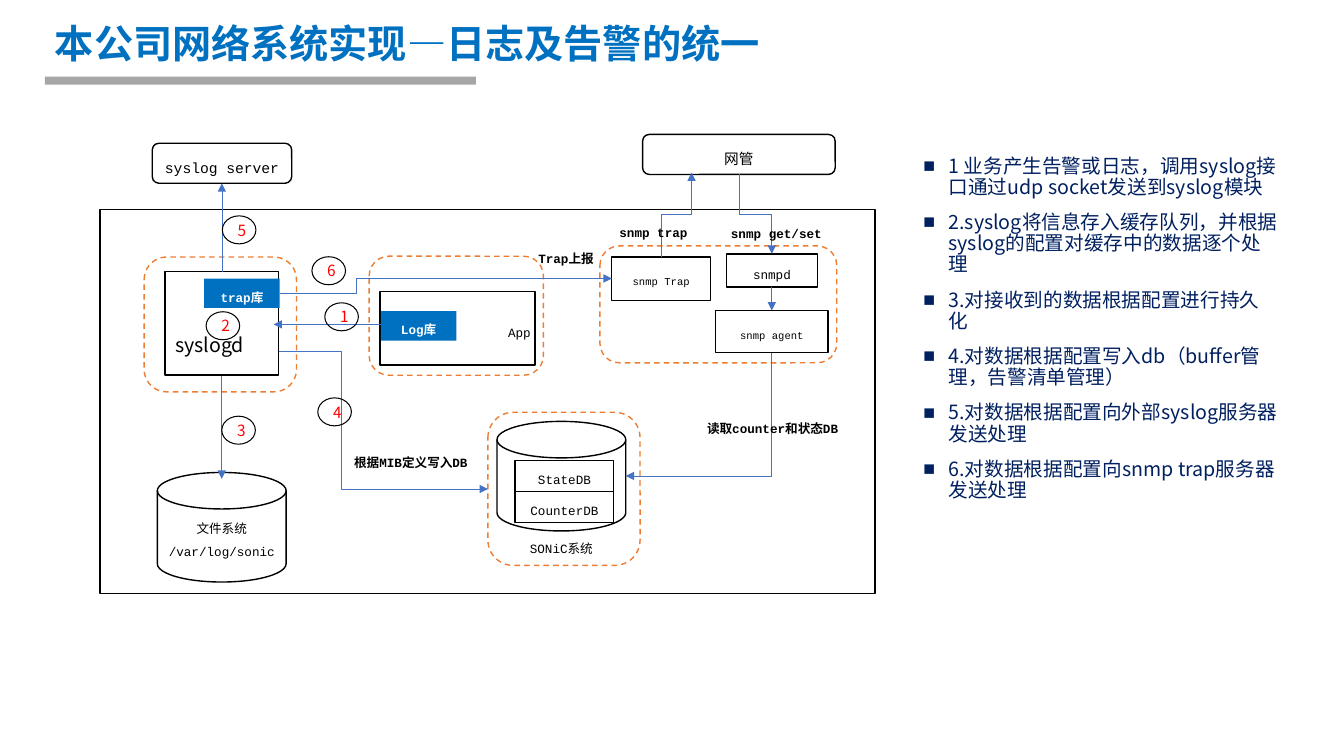
from dataclasses import dataclass
from typing import Optional

from lxml import etree
from pptx import Presentation, util as u
from pptx.dml import color
from pptx.enum import dml, shapes, text
from pptx.oxml import ns

BLACK = color.RGBColor(0x00, 0x00, 0x00)
WHITE = color.RGBColor(0xFF, 0xFF, 0xFF)
GREY = color.RGBColor(0xA6, 0xA6, 0xA6)
BLUE = color.RGBColor(0x00, 0x70, 0xC0)
WIRE_BLUE = color.RGBColor(0x44, 0x72, 0xC4)
NAVY = color.RGBColor(0x00, 0x20, 0x60)
ORANGE = color.RGBColor(0xED, 0x7D, 0x31)
RED = color.RGBColor(0xFF, 0x00, 0x00)
MONO, SANS = "Courier New", "Noto Sans CJK SC"

RECT = shapes.MSO_SHAPE.RECTANGLE
ROUND = shapes.MSO_SHAPE.ROUNDED_RECTANGLE
DISK = shapes.MSO_SHAPE.FLOWCHART_MAGNETIC_DISK
OVAL = shapes.MSO_SHAPE.OVAL
LEFT, CENTER, RIGHT = text.PP_ALIGN.LEFT, text.PP_ALIGN.CENTER, text.PP_ALIGN.RIGHT


@dataclass
class Box:
    left: float
    top: float
    width: float
    height: float
    words: str = ""
    size: float = 9
    kind: shapes.MSO_SHAPE = RECT
    fill: Optional[color.RGBColor] = None
    line: Optional[color.RGBColor] = BLACK
    weight: float = 1
    ink: color.RGBColor = BLACK
    bold: bool = False
    align: text.PP_ALIGN = CENTER


@dataclass
class Wire:
    """An arrow; elbow is the preset of a bent one, bend the place of its turn."""
    start: tuple[float, float]
    end: tuple[float, float]
    elbow: str = ""
    vertical: bool = False
    bend: float = 0.5


@dataclass
class Label:
    left: float
    top: float
    width: float
    height: float
    words: str
    bold: bool = True


def zone(left: float, top: float, width: float, height: float, fill=WHITE) -> Box:
    return Box(left, top, width, height, kind=ROUND, fill=fill, line=ORANGE)


def library(left: float, top: float, words: str) -> Box:
    return Box(left, top, 54, 21, words, fill=BLUE, line=None, ink=WHITE, bold=True)


BOXES = [
    Box(32, 54.7, 308, 5.8, fill=GREY, line=None),
    Box(437, 183.5, 70.5, 31, "snmp Trap", 7.5),
    zone(348.5, 294.5, 108.7, 109.4),
    zone(428.5, 175.7, 169.2, 83.5, fill=None),
    Box(519, 181.3, 64.8, 23.6, "snmpd"),
    Box(511, 221.8, 80.6, 30.2, "snmp agent", 7.5),
    zone(263.7, 183, 124.5, 85),
    zone(103, 183.6, 108.8, 96.3),
    Box(271.4, 208.2, 110.7, 52.4, "App", align=RIGHT),
    Box(118, 194, 81, 74),
    Box(108.8, 102.3, 99.6, 28.6, "syslog server", 10.5, ROUND),
    Box(71.4, 149.7, 553.6, 274.3),
    Box(355, 301, 92, 78.3, kind=DISK),
    Box(368, 351, 70.4, 22.2, "CounterDB"),
    Box(368, 328.8, 70.4, 22.2, "StateDB"),
    library(272, 222.3, "Log库"),
    Box(112.4, 337.5, 92, 78.3, "文件系统\n/var/log/sonic", kind=DISK),
    Box(459, 96, 137.6, 28.6, "网管", 10.5, ROUND),
    library(145.8, 199, "trap库"),
]
WIRES = [
    Wire((272, 231.7), (195.5, 231.7)),
    Wire((158.4, 268.5), (158.4, 342)),
    Wire((199, 251), (348.5, 349.3), "bentConnector3", bend=0.3),
    Wire((200, 209.5), (437, 199), "bentConnector3", bend=0.23),
    Wire((551.3, 252), (447, 340), "bentConnector2", True),
    Wire((551.3, 204.8), (551.3, 221.8)),
    Wire((528, 124.6), (551.3, 181.3), "bentConnector3", True),
    Wire((472.4, 183.5), (494, 123.3), "bentConnector3", True),
    Wire((158.5, 194), (158.5, 131)),
]
LABELS = [
    Label(354, 374, 94, 29.5, "SONiC系统", bold=False),
    Label(498.2, 280, 107.3, 46, "读取counter和状态DB"),
    Label(239.8, 304.6, 107.3, 46, "根据MIB定义写入DB"),
    Label(369, 159, 70.6, 46, "Trap上报"),
    Label(511, 148.5, 87, 31, "snmp get/set"),
    Label(425, 151.2, 83.5, 24.5, "snmp trap"),
]
BADGES = [(232, 216.3), (147.2, 222.7), (158.4, 297.3), (227, 284.2), (158.8, 154.2), (222.8, 183.4)]
TITLE = "本公司网络系统实现—日志及告警的统一"
STEPS = [
    "1 业务产生告警或日志，调用syslog接口通过udp socket发送到syslog模块",
    "2.syslog将信息存入缓存队列，并根据syslog的配置对缓存中的数据逐个处理",
    "3.对接收到的数据根据配置进行持久化",
    "4.对数据根据配置写入db（buffer管理，告警清单管理）",
    "5.对数据根据配置向外部syslog服务器发送处理",
    "6.对数据根据配置向snmp trap服务器发送处理",
]


def write(frame, words: str, *, size: float, font=MONO, ink=BLACK, bold=False, align=CENTER,
          spacing=1.5, before=0, bullet="", insets=(3, 0, 3, 0),
          anchor=text.MSO_ANCHOR.MIDDLE, wrap=True) -> None:
    """Fill a text frame, one paragraph for each line of words."""
    frame.word_wrap = wrap
    frame.auto_size = text.MSO_AUTO_SIZE.NONE
    frame.vertical_anchor = anchor
    (frame.margin_left, frame.margin_top,
     frame.margin_right, frame.margin_bottom) = map(u.Pt, insets)
    for index, line in enumerate(words.split("\n")):
        para = frame.add_paragraph() if index else frame.paragraphs[0]
        if bullet:
            props = para._p.get_or_add_pPr()
            props.set("marL", str(u.Pt(18)))
            props.set("indent", str(-u.Pt(18)))
            etree.SubElement(props, ns.qn("a:buChar")).set("char", bullet)
        para.alignment = align
        para.line_spacing = spacing
        para.space_before = u.Pt(before if index else 0)
        span = para.add_run()
        span.text = line
        span.font.size, span.font.name, span.font.bold = u.Pt(size), font, bold
        span.font.color.rgb = ink
        etree.SubElement(span._r.get_or_add_rPr(), ns.qn("a:ea")).set("typeface", SANS)


def draw_box(page, box: Box):
    shape = page.shapes.add_shape(box.kind, *map(u.Pt, (box.left, box.top, box.width, box.height)))
    shape.shadow.inherit = False
    if box.fill is None:
        shape.fill.background()
    else:
        shape.fill.solid()
        shape.fill.fore_color.rgb = box.fill
    if box.line is None:
        shape.line.fill.background()
    else:
        shape.line.color.rgb = box.line
        shape.line.width = u.Pt(box.weight)
        if box.line == ORANGE:
            shape.line.dash_style = dml.MSO_LINE.DASH
    if box.words:
        write(shape.text_frame, box.words, size=box.size, ink=box.ink, bold=box.bold, align=box.align)
    return shape


def draw_wire(page, wire: Wire) -> None:
    """Draw an arrow; one that leaves vertically is laid flat and turned by 90 degrees."""
    (x1, y1), (x2, y2) = wire.start, wire.end
    if wire.vertical:
        mid_x, mid_y, dx, dy = (x1 + x2) / 2, (y1 + y2) / 2, x2 - x1, y2 - y1
        x1, y1, x2, y2 = mid_x - dy / 2, mid_y + dx / 2, mid_x + dy / 2, mid_y - dx / 2
    kind = shapes.MSO_CONNECTOR.ELBOW if wire.elbow else shapes.MSO_CONNECTOR.STRAIGHT
    link = page.shapes.add_connector(kind, *map(u.Pt, (x1, y1, x2, y2)))
    link.line.color.rgb = WIRE_BLUE
    link.line.width = u.Pt(0.5)
    props = link._element.spPr
    etree.SubElement(props.find(ns.qn("a:ln")), ns.qn("a:tailEnd")).set("type", "triangle")
    etree.SubElement(props, ns.qn("a:effectLst"))
    if wire.vertical:
        props.find(ns.qn("a:xfrm")).set("rot", "5400000")
    if wire.elbow:
        outline = props.find(ns.qn("a:prstGeom"))
        outline.set("prst", wire.elbow)
        if wire.bend != 0.5:
            guide = etree.SubElement(outline.find(ns.qn("a:avLst")), ns.qn("a:gd"))
            guide.set("name", "adj1")
            guide.set("fmla", f"val {round(wire.bend * 100000)}")


def place(shape, left: float, top: float, width: float, height: float):
    shape.left, shape.top, shape.width, shape.height = map(u.Pt, (left, top, width, height))
    return shape.text_frame


def main() -> None:
    deck = Presentation()
    deck.slide_width, deck.slide_height = u.Pt(960), u.Pt(540)
    page = deck.slides.add_slide(deck.slide_layouts[1])
    wide = (7.2, 3.6, 7.2, 3.6)
    write(place(page.shapes.title, 32, 11, 758, 43), TITLE, size=28, font=SANS, ink=BLUE,
          bold=True, align=LEFT, spacing=0.9, insets=wide)
    write(place(page.placeholders[1], 652.3, 108, 268.6, 307.4), "\n".join(STEPS), size=14,
          font=SANS, ink=NAVY, align=LEFT, spacing=0.9, before=10, bullet="■",
          insets=wide, anchor=text.MSO_ANCHOR.TOP)
    for box in BOXES:
        draw_box(page, box)
    for wire in WIRES:
        draw_wire(page, wire)
    for label in LABELS:
        area = page.shapes.add_textbox(*map(u.Pt, (label.left, label.top, label.width, label.height)))
        write(area.text_frame, label.words, size=9, bold=label.bold)
    daemon = page.shapes.add_textbox(*map(u.Pt, (118, 234, 81, 34.6)))
    write(daemon.text_frame, "syslogd", size=14, font=SANS, align=LEFT, spacing=1,
          insets=wide, anchor=text.MSO_ANCHOR.TOP)
    for number, (left, top) in enumerate(BADGES, 1):
        badge = draw_box(page, Box(left, top, 24, 20, kind=OVAL, weight=0.75))
        write(badge.text_frame, str(number), size=11, font=SANS, ink=RED, spacing=1,
              insets=(4, 0, 0, 0), wrap=False)
    deck.save("out.pptx")


if __name__ == "__main__":
    main()
